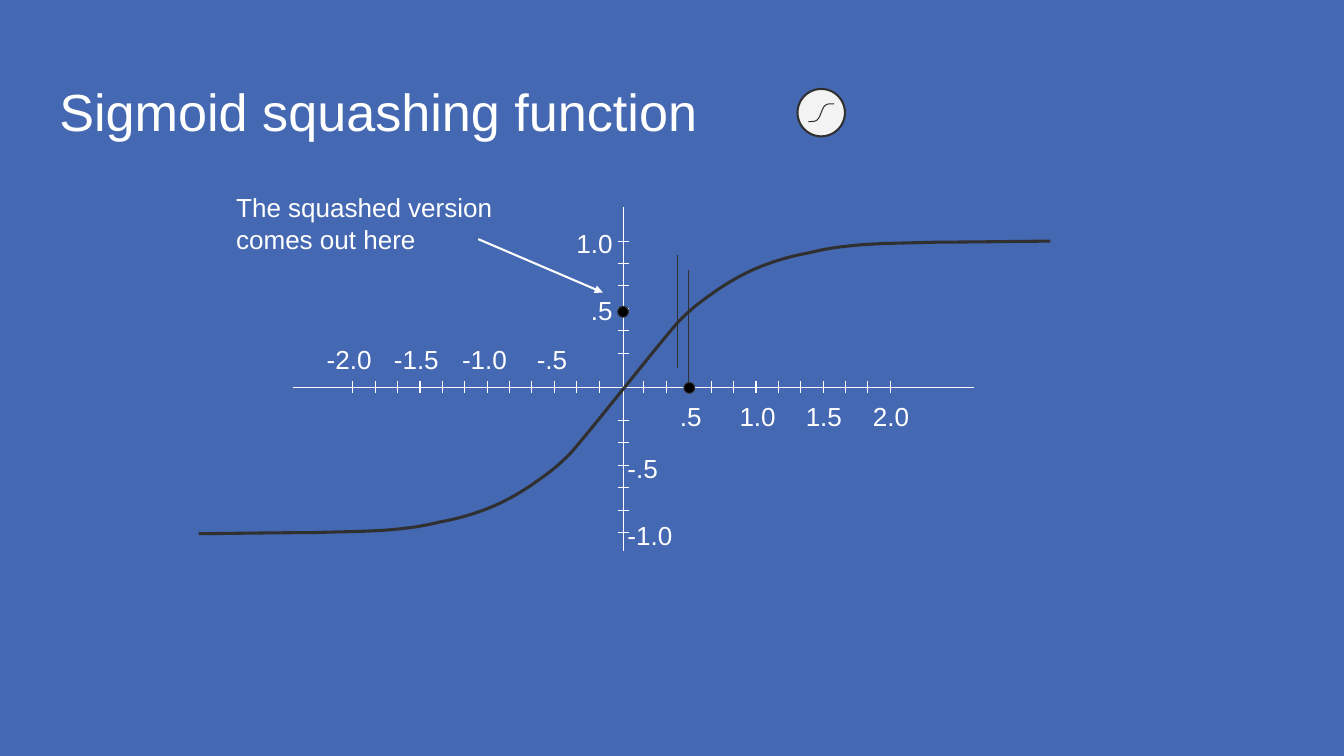
from typing import NamedTuple

from lxml.etree import SubElement
from pptx import Presentation
from pptx.dml.color import RGBColor
from pptx.enum.shapes import MSO_CONNECTOR, MSO_SHAPE
from pptx.enum.text import MSO_ANCHOR, PP_ALIGN
from pptx.oxml.ns import qn
from pptx.util import Inches, Pt

WHITE, DARK, BLACK, PALE, BLUE = "FFFFFF", "303030", "000000", "F3F3F3", "4568B2"
TICK = 0.06  # half length of a tick


class Point(NamedTuple):
    x: float
    y: float


class Line(NamedTuple):
    start: Point
    end: Point
    color: str = WHITE
    weight: float = 0.75
    arrow: bool = False


class Label(NamedTuple):
    text: str
    left: float
    top: float
    width: float = 0.76
    height: float = 0.53
    size: float = 19
    align: PP_ALIGN = PP_ALIGN.RIGHT


class Circle(NamedTuple):
    left: float
    top: float
    diameter: float
    fill: str
    weight: float = 0.75


class Sigmoid(NamedTuple):
    center: Point
    half_width: float
    half_height: float
    weight: float


PLOT_CURVE = Sigmoid(Point(6.32, 3.92), 4.31, 1.48, 2.25)
ICON_CURVE = Sigmoid(Point(8.31, 1.14), 0.13, 0.09, 0.75)
# Start, then two control points and an end for each Bezier segment: right and up
HALF_CURVE = [
    Point(0, 0),
    Point(0.09, 0.11), Point(0.4, 0.5), Point(0.55, 0.67),
    Point(0.71, 0.83), Point(0.79, 0.88), Point(0.93, 0.98),
    Point(1.06, 1.07), Point(1.22, 1.16), Point(1.37, 1.22),
    Point(1.52, 1.28), Point(1.69, 1.33), Point(1.86, 1.36),
    Point(2.02, 1.4), Point(2.14, 1.42), Point(2.36, 1.44),
    Point(2.59, 1.46), Point(2.86, 1.46), Point(3.18, 1.47),
    Point(3.51, 1.47), Point(4.12, 1.48), Point(4.31, 1.48),
]
AXES = [
    Line(Point(2.96, 3.92), Point(9.86, 3.92)),
    Line(Point(6.31, 2.09), Point(6.31, 5.58)),
]
HORIZONTAL_TICKS = [3.57 + (9.01 - 3.57) / 24 * i for i in range(25) if i != 12]
VERTICAL_TICKS = [2.44 + (5.39 - 2.44) / 13 * i for i in range(14) if i not in (6, 7)]
MARKERS = [
    Line(Point(6.97, 3.87), Point(6.97, 2.73), DARK),
    Line(Point(6.86, 3.72), Point(6.86, 2.58), DARK),
]
ARROW = Line(Point(4.84, 2.42), Point(6.1, 2.96), weight=1.5, arrow=True)
DOTS = [Circle(6.92, 3.87, 0.11, BLACK), Circle(6.25, 3.1, 0.11, BLACK)]
ICON = Circle(8.07, 0.9, 0.48, PALE, 1.5)
TITLE = Label("Sigmoid squashing function", 0.46, 0.66, 12.67, 0.85, 38, PP_ALIGN.LEFT)
LABELS = [
    Label("1.0", 5.58, 2.16),
    Label(".5", 5.58, 2.84),
    Label("-1.0", 6.21, 5.12, align=PP_ALIGN.LEFT),
    Label("-.5", 6.21, 4.44, align=PP_ALIGN.LEFT),
    Label("1.0", 7.23, 3.91),
    Label(".5", 6.48, 3.91),
    Label("1.5", 7.95, 3.91, 0.71),
    Label("2.0", 8.63, 3.91, 0.71),
    Label("-1.0", 4.51, 3.34),
    Label("-.5", 5.12, 3.34),
    Label("-1.5", 3.84, 3.34, 0.74),
    Label("-2.0", 3.14, 3.34),
    Label("The squashed version comes out here", 2.25, 1.8, 3.43, 0.4,
          align=PP_ALIGN.LEFT),
]


def paint(color_format, color: str) -> None:
    color_format.rgb = RGBColor.from_string(color)


def style_line(shape, color: str, weight: float) -> None:
    paint(shape.line.color, color)
    shape.line.width = Pt(weight)


def draw_line(page, line: Line) -> None:
    connector = page.shapes.add_connector(
        MSO_CONNECTOR.STRAIGHT, *(Inches(v) for v in (*line.start, *line.end)))
    style_line(connector, line.color, line.weight)
    properties = connector._element.spPr
    if line.arrow:
        SubElement(properties.find(qn("a:ln")), qn("a:tailEnd"), type="triangle")
    SubElement(properties, qn("a:effectLst"))


def draw_label(page, label: Label) -> None:
    box = page.shapes.add_textbox(Inches(label.left), Inches(label.top),
                                  Inches(label.width), Inches(label.height))
    frame = box.text_frame
    frame.word_wrap = True
    frame.vertical_anchor = MSO_ANCHOR.TOP
    frame.margin_left = frame.margin_right = Inches(0.14)
    frame.margin_top = frame.margin_bottom = Inches(0.14)
    para = frame.paragraphs[0]
    para.alignment = label.align
    span = para.add_run()
    span.text = label.text
    span.font.name = "Arial"
    span.font.size = Pt(label.size)
    paint(span.font.color, WHITE)


def draw_circle(page, circle: Circle) -> None:
    shape = page.shapes.add_shape(MSO_SHAPE.OVAL, Inches(circle.left), Inches(circle.top),
                                  Inches(circle.diameter), Inches(circle.diameter))
    shape.shadow.inherit = False
    shape.fill.solid()
    paint(shape.fill.fore_color, circle.fill)
    style_line(shape, DARK, circle.weight)


def bend_segments(outline) -> None:
    """Turn every three straight segments into one Bezier segment."""
    segments = list(outline._element.iter(qn("a:lnTo")))
    for first in range(0, len(segments), 3):
        curve = SubElement(segments[first].getparent(), qn("a:cubicBezTo"))
        for segment in segments[first:first + 3]:
            curve.append(segment[0])
            segment.getparent().remove(segment)


def draw_sigmoid(page, sigmoid: Sigmoid) -> None:
    """Draw the right half and its point reflection."""
    center, extent = sigmoid.center, HALF_CURVE[-1]
    group = page.shapes.add_group_shape()
    for sign in (1, -1):
        points = [(Inches(center.x + sign * p.x / extent.x * sigmoid.half_width),
                   Inches(center.y - sign * p.y / extent.y * sigmoid.half_height))
                  for p in HALF_CURVE]
        builder = group.shapes.build_freeform(*points[0])
        builder.add_line_segments(points[1:], close=False)
        half = builder.convert_to_shape()
        bend_segments(half)
        half.shadow.inherit = False
        half.fill.background()
        style_line(half, DARK, sigmoid.weight)


def main() -> None:
    deck = Presentation()
    deck.slide_width, deck.slide_height = Inches(13.6), Inches(7.65)
    page = deck.slides.add_slide(deck.slide_layouts[6])
    page.background.fill.solid()
    paint(page.background.fill.fore_color, BLUE)

    ticks = [Line(Point(6.31 - TICK, y), Point(6.31 + TICK, y)) for y in VERTICAL_TICKS]
    ticks += [Line(Point(x, 3.92 - TICK), Point(x, 3.92 + TICK)) for x in HORIZONTAL_TICKS]
    draw_label(page, TITLE)
    for line in AXES:
        draw_line(page, line)
    draw_sigmoid(page, PLOT_CURVE)
    for line in ticks:
        draw_line(page, line)
    for label in LABELS:
        draw_label(page, label)
    for line in [*MARKERS, ARROW]:
        draw_line(page, line)
    for circle in [*DOTS, ICON]:
        draw_circle(page, circle)
    draw_sigmoid(page, ICON_CURVE)
    deck.save("out.pptx")


if __name__ == "__main__":
    main()
